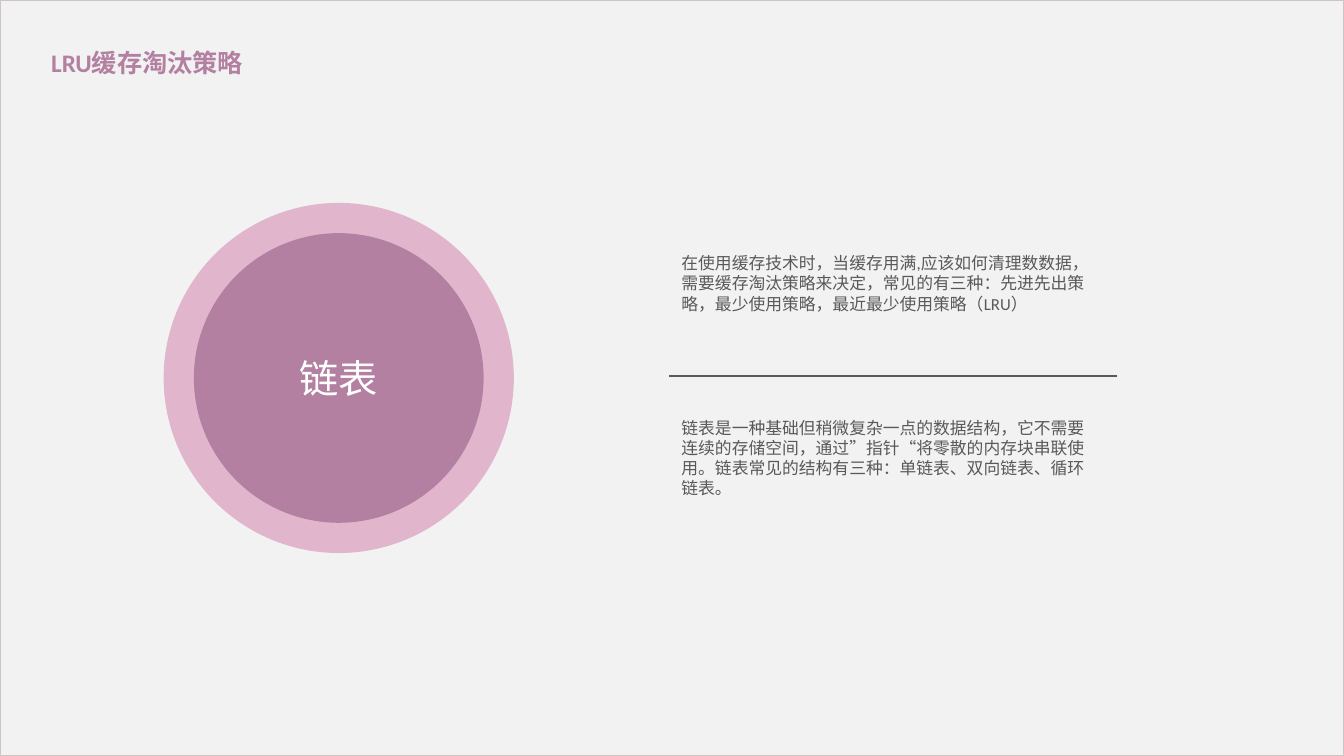
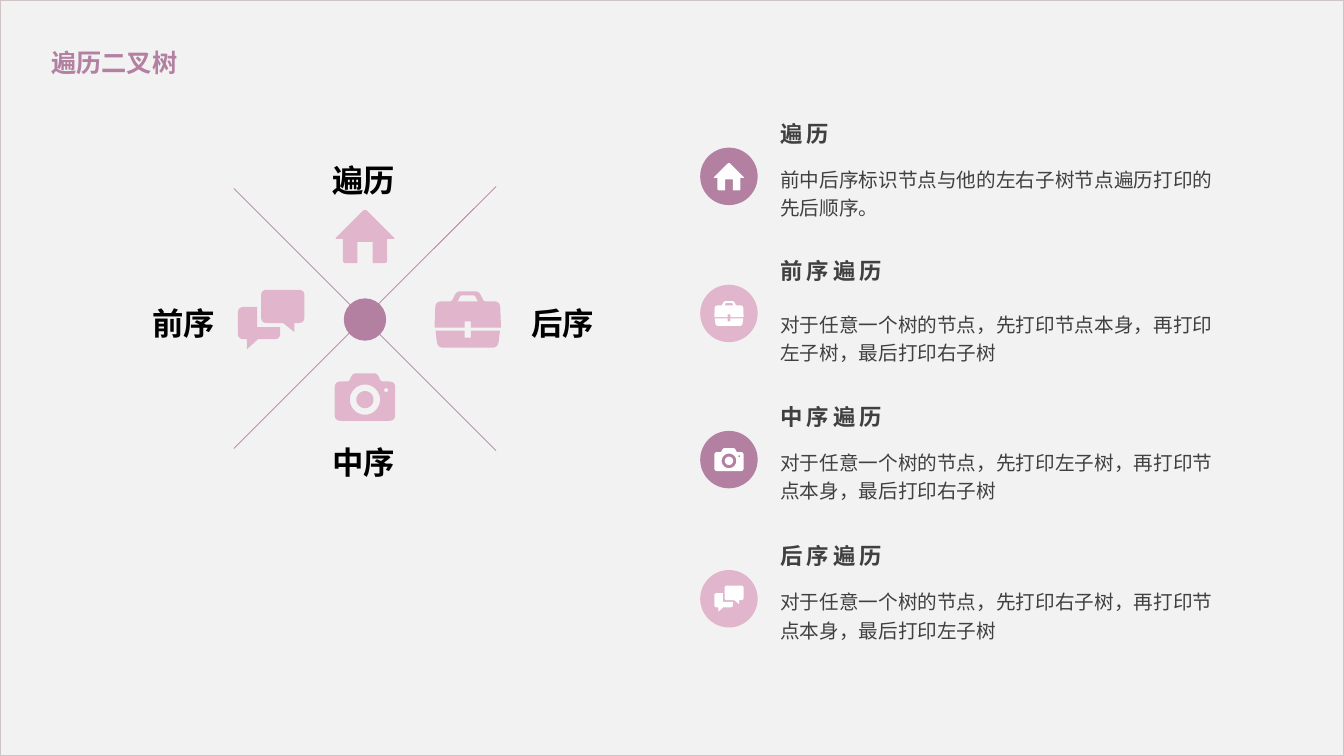
import math

from lxml import etree
from pptx import Presentation
from pptx.dml.color import RGBColor
from pptx.enum.shapes import MSO_CONNECTOR, MSO_SHAPE
from pptx.enum.text import MSO_ANCHOR, PP_ALIGN
from pptx.oxml.ns import qn
from pptx.util import Inches, Pt

RECTANGLE, OVAL = MSO_SHAPE.RECTANGLE, MSO_SHAPE.OVAL
STRAIGHT = MSO_CONNECTOR.STRAIGHT
LEFT, CENTER, RIGHT = PP_ALIGN.LEFT, PP_ALIGN.CENTER, PP_ALIGN.RIGHT
TOP, MIDDLE = MSO_ANCHOR.TOP, MSO_ANCHOR.MIDDLE

PAGE_WIDTH, PAGE_HEIGHT = 13.33, 7.5
COLORS = {
    "page": "F2F2F2", "frame": "D0C5C5", "mauve": "B380A2", "pink": "E1B6CD",
    "white": "FFFFFF", "black": "000000", "gray": "595959", "dark": "404040",
}
# Each style: font attributes, colour, paragraph attributes, letter spacing in points
STYLES = {
    "title": ({"name": "Calibri", "size": Pt(18), "bold": True}, "mauve", {}, 0),
    "core": ({"name": "Calibri", "size": Pt(28)}, "white", {}, 0),
    "note": ({"name": "Calibri", "size": Pt(12)}, "gray", {}, 0),
    "heading": ({"name": "Arial", "size": Pt(16), "bold": True}, "dark",
                {"line_spacing": 1.2}, 3),
    "body": ({"name": "Arial", "size": Pt(14)}, "dark", {"line_spacing": 1.2}, 0),
    "label": ({"name": "Arial", "size": Pt(22.4), "bold": True}, "black",
              {"line_spacing": 1.2}, 0),
}


def circle(center_x, center_y, radius, steps=36):
    angles = [2 * math.pi * step / steps for step in range(steps)]
    return [(center_x + radius * math.cos(a), center_y + radius * math.sin(a))
            for a in angles]


def rounded(*corners, steps=6):
    """Return the outline through corners (x, y[, radius]), rounding those with a radius."""
    points = []
    for index, (x, y, *radius) in enumerate(corners):
        if not radius:
            points.append((x, y))
            continue
        ends = []
        for near_x, near_y, *_ in (corners[index - 1], corners[(index + 1) % len(corners)]):
            share = radius[0] / math.hypot(near_x - x, near_y - y)
            ends.append((x + share * (near_x - x), y + share * (near_y - y)))
        for step in range(steps + 1):
            t = step / steps
            points.append(tuple((1 - t) ** 2 * start + 2 * t * (1 - t) * corner + t * t * end
                                for start, corner, end in zip(ends[0], (x, y), ends[1])))
    return points


# Each icon: width, height and outlines on its own grid
ICONS = {
    "house": (60, 54, [
        rounded((30, 0, 4), (60, 30, 2), (52, 30), (52, 54, 3), (37.5, 54), (37.5, 33),
                (22.5, 33), (22.5, 54), (8, 54, 3), (8, 30), (0, 30, 2))]),
    "camera": (60, 47, [
        rounded((0, 8, 6), (14, 8, 2), (18, 0, 3), (42, 0, 3), (46, 8, 2), (60, 8, 6),
                (60, 47, 6), (0, 47, 6)),
        circle(30, 26, 15), circle(30, 26, 8.5), circle(51, 16.5, 2)]),
    "chat": (66, 59, [
        rounded((0, 17, 6), (19, 17), (19, 37), (42, 37), (42, 49, 6), (20, 49),
                (9, 59), (9, 49), (0, 49, 6)),
        rounded((23, 0, 6), (66, 0, 6), (66, 33, 6), (56, 33), (56, 42), (45, 33),
                (23, 33, 6))]),
    "briefcase": (66, 56, [
        rounded((0, 36), (1, 10, 6), (17, 10, 2), (22, 0, 4), (44, 0, 4), (49, 10, 2),
                (65, 10, 6), (66, 36), (36, 36), (36, 30), (30, 30), (30, 36)),
        rounded((23, 10), (26, 4, 2), (40, 4, 2), (43, 10)),
        rounded((1, 39), (30, 39), (30, 46), (36, 46), (36, 39), (65, 39), (63, 56, 6),
                (3, 56, 6))]),
}


class Pages:
    """Holds the deck, the current slide and the shared style."""

    def __init__(self):
        self.deck = Presentation()
        self.deck.slide_width = Inches(PAGE_WIDTH)
        self.deck.slide_height = Inches(PAGE_HEIGHT)
        self.page = None

    def start(self, title):
        self.page = self.deck.slides.add_slide(self.deck.slide_layouts[6])
        self.shape(RECTANGLE, 0, 0, PAGE_WIDTH, PAGE_HEIGHT, "page", "frame")
        self.text(title, 0.41, 0.42, 2.87, 0.4, "title")

    def paint(self, shape, fill, line=None):
        shape.shadow.inherit = False
        shape.fill.solid()
        shape.fill.fore_color.rgb = RGBColor.from_string(COLORS[fill])
        if line:
            shape.line.color.rgb = RGBColor.from_string(COLORS[line])
            shape.line.width = Pt(1)
        else:
            shape.line.fill.background()

    def shape(self, kind, left, top, width, height, fill, line=None):
        shape = self.page.shapes.add_shape(
            kind, Inches(left), Inches(top), Inches(width), Inches(height))
        self.paint(shape, fill, line)
        return shape

    def disc(self, center_x, center_y, size, fill, line=None):
        return self.shape(OVAL, center_x - size / 2, center_y - size / 2, size, size, fill, line)

    def line(self, start, end, color, width):
        line = self.page.shapes.add_connector(
            STRAIGHT, *(Inches(value) for value in (*start, *end)))
        line.line.color.rgb = RGBColor.from_string(COLORS[color])
        line.line.width = Pt(width)
        etree.SubElement(line._element.spPr, qn("a:effectLst"))

    def icon(self, name, center_x, center_y, width, fill):
        grid_width, grid_height, outlines = ICONS[name]
        scale = width / grid_width
        left, top = center_x - width / 2, center_y - grid_height * scale / 2
        builder = None
        for outline in outlines:
            points = [(Inches(left + x * scale), Inches(top + y * scale)) for x, y in outline]
            if builder is None:
                builder = self.page.shapes.build_freeform(*points[0])
            else:
                builder.move_to(*points[0])
            builder.add_line_segments(points[1:], close=True)
        self.paint(builder.convert_to_shape(), fill)

    def set_text(self, shape, text, style, align=LEFT, anchor=TOP):
        font_values, color, para_values, spacing = STYLES[style]
        frame = shape.text_frame
        frame.word_wrap = True
        frame.vertical_anchor = anchor
        para = frame.paragraphs[0]
        span = para.add_run()
        span.text = text
        for target, values in ((para, {"alignment": align, **para_values}),
                               (span.font, font_values)):
            for name, value in values.items():
                setattr(target, name, value)
        span.font.color.rgb = RGBColor.from_string(COLORS[color])
        if spacing:
            span._r.get_or_add_rPr().set("spc", str(spacing * 100))

    def text(self, text, left, top, width, height, style, align=LEFT):
        box = self.page.shapes.add_textbox(
            Inches(left), Inches(top), Inches(width), Inches(height))
        self.set_text(box, text, style, align)


def linked_list_page(pages):
    pages.start("LRU缓存淘汰策略")
    pages.disc(3.36, 3.75, 3.46, "pink", "pink")
    core = pages.disc(3.36, 3.75, 2.86, "mauve", "mauve")
    pages.set_text(core, "链表", "core", CENTER, MIDDLE)
    pages.text("在使用缓存技术时，当缓存用满,应该如何清理数数据，需要缓存淘汰策略来决定，"
               "常见的有三种：先进先出策略，最少使用策略，最近最少使用策略（LRU）",
               6.66, 2.46, 4.35, 0.71, "note")
    pages.line((6.64, 3.73), (11.08, 3.73), "gray", 1.25)
    pages.text("链表是一种基础但稍微复杂一点的数据结构，它不需要连续的存储空间，"
               "通过”指针“将零散的内存块串联使用。链表常见的结构有三种：单链表、双向链表、循环链表。",
               6.66, 4.09, 4.35, 0.91, "note")


def tree_page(pages):
    pages.start("遍历二叉树")
    pages.line((2.32, 1.87), (4.92, 4.47), "mauve", 0.5)
    pages.line((4.92, 1.85), (2.32, 4.45), "mauve", 0.5)
    pages.disc(3.62, 3.17, 0.42, "mauve")

    quarters = [
        ("house", 3.62, 2.34, 0.6, "遍历", 3.01, 1.48, CENTER),
        ("camera", 3.62, 3.94, 0.6, "中序", 3.01, 4.27, CENTER),
        ("chat", 2.69, 3.17, 0.66, "前序", 1.03, 2.89, RIGHT),
        ("briefcase", 4.64, 3.17, 0.66, "后序", 5.17, 2.89, LEFT),
    ]
    for icon, center_x, center_y, width, label, left, top, align in quarters:
        pages.icon(icon, center_x, center_y, width, "pink")
        pages.text(label, left, top, 1.2, 0.58, "label", align)

    rows = [
        ("house", 0.31, "mauve", 1.75, 1.57, "遍历",
         "前中后序标识节点与他的左右子树节点遍历打印的先后顺序。"),
        ("briefcase", 0.29, "pink", 3.11, 3.01, "前序遍历",
         "对于任意一个树的节点，先打印节点本身，再打印左子树，最后打印右子树"),
        ("camera", 0.29, "mauve", 4.56, 4.38, "中序遍历",
         "对于任意一个树的节点，先打印左子树，再打印节点本身，最后打印右子树"),
        ("chat", 0.29, "pink", 5.94, 5.76, "后序遍历",
         "对于任意一个树的节点，先打印右子树，再打印节点本身，最后打印左子树"),
    ]
    for icon, width, fill, center_y, body_top, heading, body in rows:
        pages.disc(7.23, center_y, 0.57, fill)
        pages.icon(icon, 7.23, center_y, width, "white")
        pages.text(heading, 7.64, center_y - 0.66, 4.68, 0.48, "heading")
        pages.text(body, 7.64, body_top, 4.68, 0.83, "body")


def main():
    pages = Pages()
    linked_list_page(pages)
    tree_page(pages)
    pages.deck.save("out.pptx")


if __name__ == "__main__":
    main()
